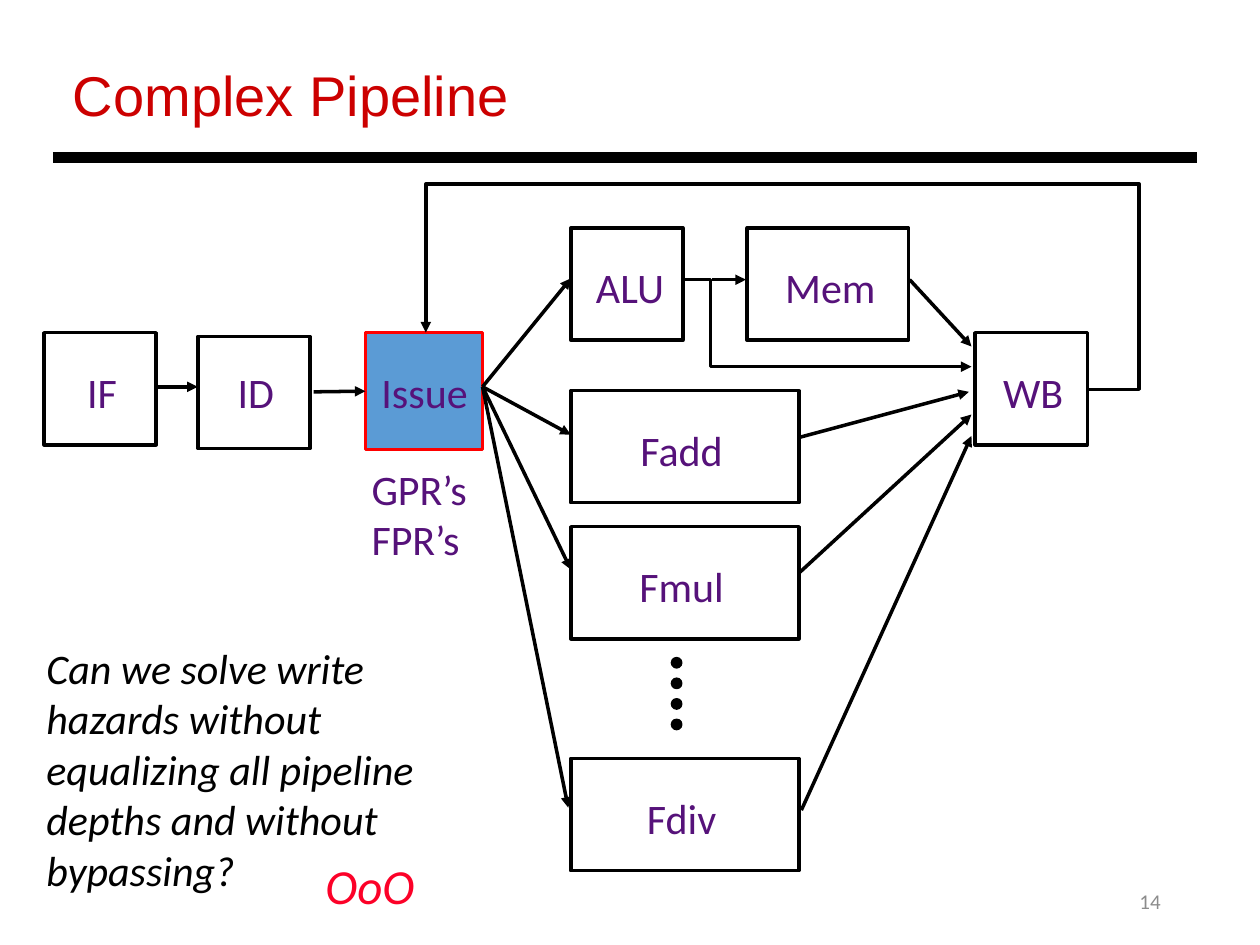
import pptx
import pptx.util
import pptx.dml.color
import pptx.enum.shapes
import pptx.enum.text
import pptx.oxml.ns
import lxml.etree

Inches = pptx.util.Inches
Pt = pptx.util.Pt
Kind = pptx.enum.shapes.MSO_SHAPE
Align = pptx.enum.text.PP_ALIGN
tag = pptx.oxml.ns.qn
COLORS = {
    "ink": "000000", "title": "CC0000", "label": "56127A", "page": "8C8C8C",
    "issue": "5B9BD5", "edge": "FF0000", "answer": "FC0128",
}
RGB = {name: pptx.dml.color.RGBColor.from_string(c) for name, c in COLORS.items()}

deck = pptx.Presentation()
deck.slide_width, deck.slide_height = Inches(10), Inches(7.5)
slide = deck.slides.add_slide(deck.slide_layouts[6])
shapes = slide.shapes


def write(text, x, y, w, h, size=24, color="label", font="Calibri",
          align=Align.CENTER, italic=False, wrap=True):
    box = shapes.add_textbox(Inches(x), Inches(y), Inches(w), Inches(h))
    frame = box.text_frame
    frame.word_wrap = wrap
    frame.text = text
    for para in frame.paragraphs:
        para.alignment = align
        para.font.size = Pt(size)
        para.font.name = font
        para.font.italic = italic
        para.font.color.rgb = RGB[color]
    return frame


def draw(points, width=2, arrow=True):
    """Straight connector for two points, open bent line for more."""
    spots = [(Inches(x), Inches(y)) for x, y in points]
    if len(spots) == 2:
        line = shapes.add_connector(
            pptx.enum.shapes.MSO_CONNECTOR.STRAIGHT, *spots[0], *spots[1])
    else:
        route = shapes.build_freeform(*spots[0])
        route.add_line_segments(spots[1:], close=False)
        line = route.convert_to_shape()
        line.fill.background()
    line.line.color.rgb = RGB["ink"]
    line.line.width = Pt(width)
    props = line._element.spPr
    if arrow:
        lxml.etree.SubElement(props.find(tag("a:ln")), tag("a:tailEnd"), type="triangle")
    lxml.etree.SubElement(props, tag("a:effectLst"))
    return line


# Title, rule and page number
write("Complex Pipeline", 0.48, 0.43, 7.7, 0.64, 32, "title", "Arial", Align.LEFT)
draw([(0.42, 1.25), (9.5, 1.25)], 6, arrow=False)
page = write("14", 7.06, 6.95, 2.25, 0.4, 12, "page", align=Align.RIGHT)
page.vertical_anchor = pptx.enum.text.MSO_ANCHOR.MIDDLE

# Pipeline stages: name, left, top, width, height, label middle
stages = [
    ("IF", 0.35, 2.64, 0.89, 0.89, 0.81),
    ("ID", 1.57, 2.67, 0.89, 0.89, 2.03),
    ("Issue", 2.9, 2.64, 0.93, 0.93, 3.37),
    ("WB", 7.74, 2.64, 0.89, 0.89, 8.2),
    ("ALU", 4.53, 1.81, 0.89, 0.89, 5),
    ("Mem", 5.93, 1.81, 1.28, 0.89, 6.59),
    ("Fadd", 4.53, 3.1, 1.81, 0.89, 5.41),
    ("Fmul", 4.53, 4.18, 1.81, 0.89, 5.41),
    ("Fdiv", 4.53, 6.02, 1.81, 0.89, 5.41),
]
boxes = {}
for name, x, y, w, h, mid in stages:
    box = shapes.add_shape(Kind.RECTANGLE, Inches(x), Inches(y), Inches(w), Inches(h))
    box.shadow.inherit = False
    box.fill.background()
    box.line.color.rgb = RGB["ink"]
    box.line.width = Pt(2)
    boxes[name] = box
    top = 2.86 if name == "ID" else y + 0.22
    write(name, mid - 0.55, top, 1.1, 0.5, wrap=False)
boxes["Issue"].fill.solid()
boxes["Issue"].fill.fore_color.rgb = RGB["issue"]
boxes["Issue"].line.color.rgb = RGB["edge"]

# Dots for the units left out
for i in range(4):
    dot = shapes.add_shape(Kind.OVAL, Inches(5.33), Inches(5.22 + 0.49 * i / 3),
                           Inches(0.08), Inches(0.08))
    dot.shadow.inherit = False
    dot.fill.solid()
    dot.fill.fore_color.rgb = RGB["ink"]
    dot.line.color.rgb = RGB["ink"]
    dot.line.width = Pt(1)

# Front end arrows
draw([(1.25, 3.07), (1.57, 3.07)])
draw([(2.49, 3.11), (2.9, 3.11)]).end_connect(boxes["Issue"], 1)

# Issue to the units
for x, y in [(4.53, 2.21), (4.53, 3.45), (4.53, 4.52), (4.51, 6.41)]:
    draw([(3.83, 3.07), (x, y)])

# Units to write back
for start, end in [((7.22, 2.22), (7.71, 2.75)), ((6.35, 3.47), (7.69, 3.11)),
                   ((6.35, 4.54), (7.71, 3.29)), ((6.36, 6.43), (7.71, 3.46))]:
    draw([start, end])

# ALU to Mem, bypass of Mem, and return to Issue
draw([(5.65, 2.22), (5.92, 2.22)])
draw([(5.43, 2.22), (5.64, 2.22), (5.64, 2.91), (7.71, 2.91)])
draw([(8.64, 3.09), (9.04, 3.09), (9.04, 1.46), (3.38, 1.46), (3.38, 2.64)])

# Notes
write("GPR’s\nFPR’s", 2.85, 3.63, 0.98, 0.91, align=Align.LEFT, wrap=False)
write("Can we solve write hazards without equalizing all pipeline depths "
      "and without bypassing?", 0.27, 5.05, 3.6, 2.12, color="ink",
      align=Align.LEFT, italic=True)
write("OoO", 1.94, 6.74, 1.99, 0.57, 28, "answer", italic=True)

deck.save("out.pptx")
